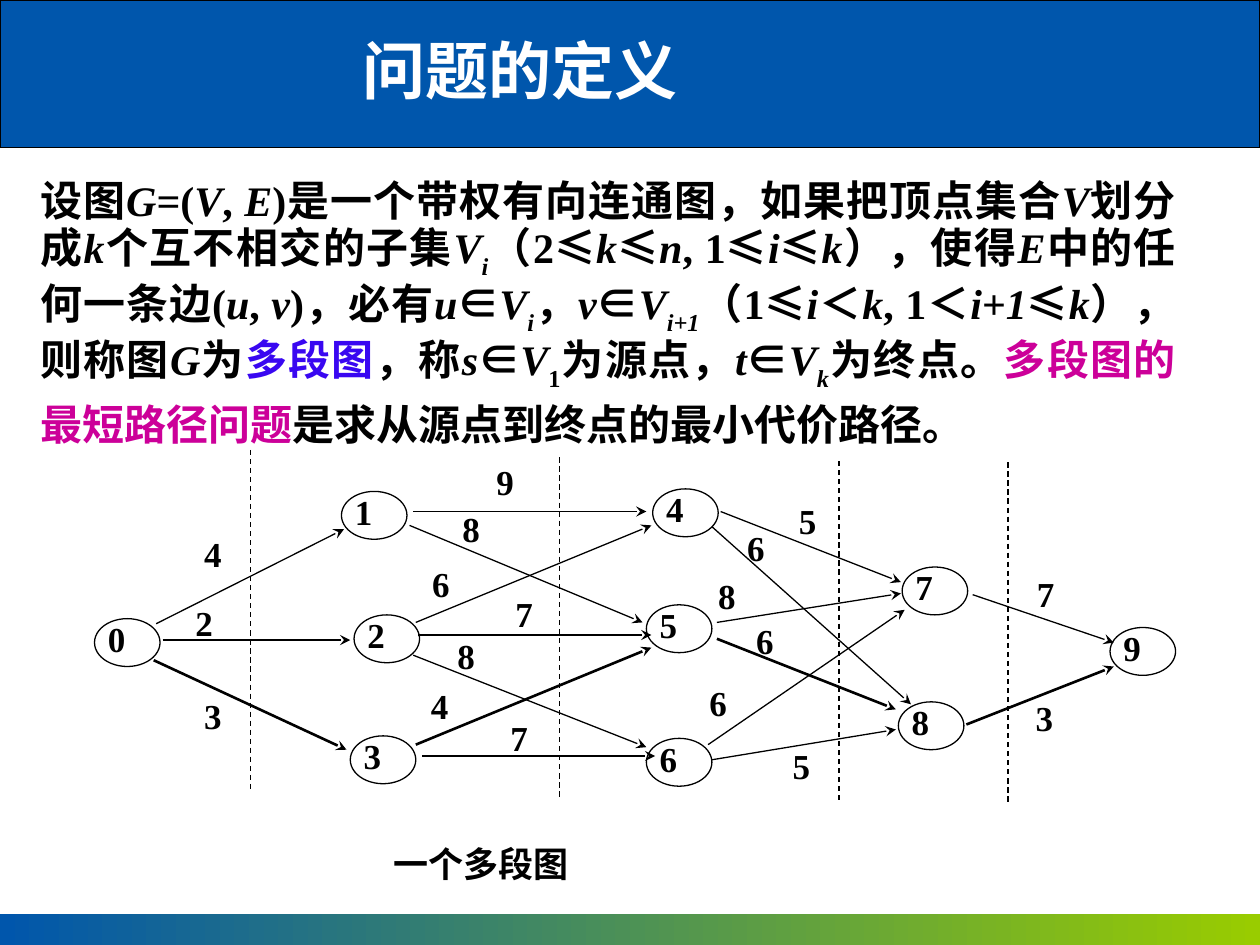
from dataclasses import dataclass

from lxml import etree
from pptx import Presentation
from pptx import util as u
from pptx.dml.color import RGBColor
from pptx.enum import dml, shapes, text
from pptx.oxml.ns import qn


@dataclass(frozen=True)
class Theme:
    blue: str = "0056AC"
    green: str = "99CC00"
    ink: str = "000000"
    white: str = "FFFFFF"
    term: str = "3907F1"
    topic: str = "CC0099"
    han: str = "Noto Sans CJK SC"
    roman: str = "Times New Roman"
    title: int = 36
    body: int = 24
    label: int = 20
    thin: float = 0.75
    thick: float = 1.5


T = Theme()
COLS, ROWS = 100, 75  # square cells, a tenth of an inch each

# Body pieces: c Han, r roman, i italic, s italic subscript,
# d upright subscript, t defined term, p topic
BODY = (
    "c设图|iG|r=(|iV|r, |iE|r)|c是一个带权有向连通图，如果把顶点集合|iV|c划分成|ik"
    "|c个互不相交的子集|iV|si|c（|r2|c≤|ik|c≤|in|r, 1|c≤|ii|c≤|ik|c），使得|iE"
    "|c中的任何一条边|r(|iu|r, |iv|r)|c，必有|iu|c∈|iV|si|c，|iv|c∈|iV|si+1"
    "|c（|r1|c≤|ii|c＜|ik|r, 1|c＜|ii|r+|i1|c≤|ik|c），则称图|iG|c为|t多段图"
    "|c，称|is|c∈|iV|d1|c为源点，|it|c∈|iV|sk|c为终点。"
    "|p多段图的最短路径问题|c是求从源点到终点的最小代价路径。"
)

# Left and top of each vertex, in order of its number
NODES = [(7.5, 49.1), (27.1, 39), (28.1, 48.8), (27.8, 58.4), (51.8, 38.8),
         (51.3, 48), (51.3, 58.6), (71.6, 45), (71.3, 55.7), (88.1, 49.8)]

# Start, end, cost, place of the cost, on the shortest path or not
EDGES = [
    ((12.4, 49.5), (27.3, 42), 4, (16.2, 42.9), False),
    ((12.9, 50.8), (27.8, 50.8), 2, (15.5, 48.4), False),
    ((12.2, 52.4), (27.5, 59.5), 3, (16.2, 55.8), True),
    ((32.8, 40.6), (51.3, 40.6), 9, (39.4, 37.2), False),
    ((32.5, 41.7), (51, 49.4), 8, (36.7, 40.9), False),
    ((33, 49.4), (51.7, 41.7), 6, (34.3, 45.3), False),
    ((33.2, 50.4), (51.7, 50.4), 7, (40.9, 47.7), False),
    ((32.8, 52), (51.3, 59.3), 8, (36.3, 51), False),
    ((33, 59.1), (51.7, 51.4), 4, (34.2, 55), True),
    ((33.5, 60), (52, 60), 7, (40.5, 57.5), False),
    ((57.2, 40.6), (71.5, 46.2), 5, (63.4, 40.3), False),
    ((56.5, 41.8), (72.3, 55.9), 6, (59.3, 42.4), False),
    ((56.9, 49.4), (71.5, 47.1), 8, (57, 46.2), False),
    ((56.9, 50.7), (71.1, 56.3), 6, (60, 49.8), True),
    ((56.2, 59.1), (71.8, 48.4), 6, (56.3, 54.7), False),
    ((56.5, 60.3), (71.1, 57.9), 5, (62.9, 59.7), False),
    ((77.2, 47.2), (88.4, 51), 7, (82.3, 46.1), False),
    ((76.7, 57.5), (88.4, 52.9), 3, (82.2, 55.9), True),
]

# Column and top row of the lines between stages
CUTS = [(19.9, 35.7), (44.4, 36.3), (66.6, 36.6), (80, 36.7)]


def cell(*spans):
    return [u.Inches(n / 10) for n in spans]


def rgb(code):
    return RGBColor.from_string(code)


def face(font, size, name=T.roman, color=T.ink):
    """Set bold type, with the Han font for East Asian letters."""
    font.size, font.name, font.bold = u.Pt(size), name, True
    font.color.rgb = rgb(color)
    props = font._element
    east = etree.SubElement(props, qn("a:ea"))
    east.set("typeface", T.han)
    props.find(qn("a:latin")).addnext(east)


def frame(shape, pad=(0, 0, 0, 0)):
    box = shape.text_frame
    box.word_wrap = True
    box.vertical_anchor = text.MSO_ANCHOR.TOP
    box.margin_left, box.margin_top, box.margin_right, box.margin_bottom = cell(*pad)
    return box


def write(shape, words, size=T.label, pad=(0, 0, 0, 0), **look):
    para = frame(shape, pad).paragraphs[0]
    para.text = str(words)
    para.line_spacing = 0.8
    para.alignment = text.PP_ALIGN.LEFT
    face(para.font, size, **look)


def note(slide, place, words, **look):
    write(slide.shapes.add_textbox(*cell(*place)), words, **look)


def solid(slide, kind, place):
    shape = slide.shapes.add_shape(kind, *cell(*place))
    shape.shadow.inherit = False
    shape.line.color.rgb = rgb(T.ink)
    shape.line.width = u.Pt(T.thin)
    return shape


def rule(slide, start, end, width=T.thin):
    line = slide.shapes.add_connector(
        shapes.MSO_CONNECTOR.STRAIGHT, *cell(*start, *end))
    line.line.color.rgb = rgb(T.ink)
    line.line.width = u.Pt(width)
    etree.SubElement(line._element.spPr, qn("a:effectLst"))
    return line


def arrow(slide, start, end, width):
    line = rule(slide, start, end, width)
    tip = etree.SubElement(line.line._get_or_add_ln(), qn("a:tailEnd"))
    tip.set("type", "stealth")


def node(slide, index, spot):
    oval = solid(slide, shapes.MSO_SHAPE.OVAL, (*spot, 5.2, 3.8))
    oval.fill.background()
    write(oval, index, pad=(0.3, 0, 0, 0))


def bands(slide):
    head = solid(slide, shapes.MSO_SHAPE.RECTANGLE, (0, 0, COLS, 11.7))
    head.fill.solid()
    head.fill.fore_color.rgb = rgb(T.blue)
    foot = solid(slide, shapes.MSO_SHAPE.RECTANGLE, (0, ROWS - 2.5, COLS, 2.5))
    foot.line.fill.background()
    foot.fill.gradient()
    foot.fill.gradient_angle = 0
    for stop, color, at in zip(foot.fill.gradient_stops, (T.blue, T.green), (0, 1)):
        stop.color.rgb = rgb(color)
        stop.position = at


def prose(slide, place):
    box = slide.shapes.add_textbox(*cell(*place))
    para = frame(box, (1, 0.5, 1, 0.5)).paragraphs[0]
    para.alignment = text.PP_ALIGN.JUSTIFY
    para.line_spacing = u.Pt(32)
    tints = {"t": T.term, "p": T.topic}
    for piece in BODY.split("|"):
        code, words = piece[0], piece[1:]
        run = para.add_run()
        run.text = words
        face(run.font, T.body, T.han if code in "ctp" else T.roman,
             tints.get(code, T.ink))
        run.font.italic = code in "is"
        if code in "sd":
            run.font._element.set("baseline", "-30000")


def graph(slide):
    for index, spot in enumerate(NODES):
        node(slide, index, spot)
    for start, end, cost, spot, best in EDGES:
        arrow(slide, start, end, T.thick if best else T.thin)
        note(slide, (*spot, 2.9, 2.5), cost)
    for col, top in CUTS:
        cut = rule(slide, (col, top), (col, top + 27.2))
        cut.line.dash_style = dml.MSO_LINE.DASH
    note(slide, (27.4, 67.5, 43.5, 2.9), "一个多段图", pad=(3.8, 0, 0, 0))


def main():
    deck = Presentation()
    deck.slide_width, deck.slide_height = cell(COLS, ROWS)
    slide = deck.slides.add_slide(deck.slide_layouts[6])
    bands(slide)
    prose(slide, (2.2, 12.9, 92.1, 21.2))
    note(slide, (27.8, 3.2, 35.5, 6.4), "问题的定义", size=T.title,
         pad=(1, 0.5, 1, 0.5), name=T.han, color=T.white)
    graph(slide)
    deck.save("out.pptx")


main()
